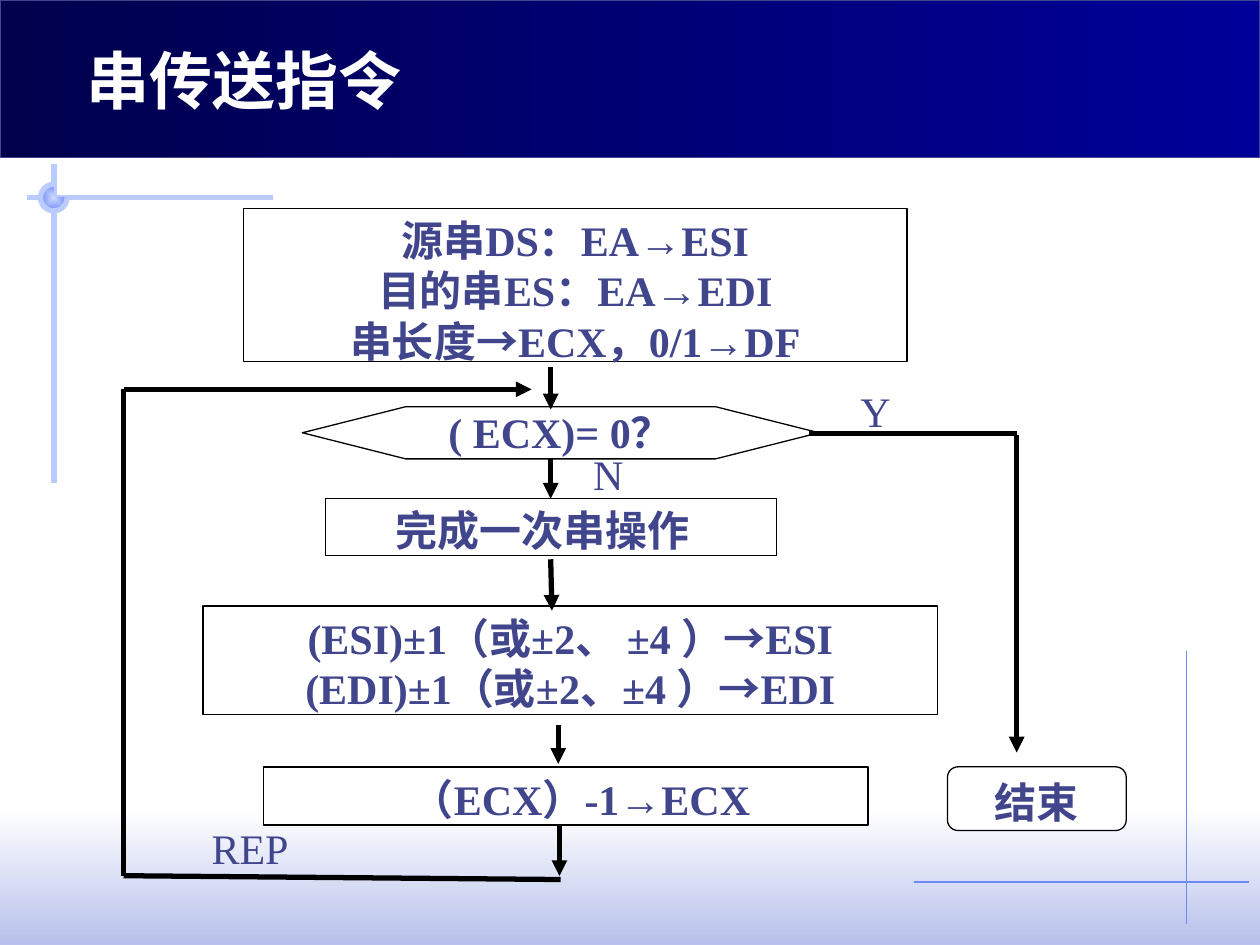
"""Build a slide with the flow chart of the repeated string transfer instruction."""
from lxml import etree
from pptx import Presentation
from pptx.dml.color import RGBColor
from pptx.enum.shapes import MSO_CONNECTOR, MSO_SHAPE
from pptx.enum.text import MSO_ANCHOR, MSO_AUTO_SIZE, PP_ALIGN
from pptx.oxml.ns import qn
from pptx.util import Pt

RECT, ROUNDED = MSO_SHAPE.RECTANGLE, MSO_SHAPE.FLOWCHART_ALTERNATE_PROCESS
HEXAGON = MSO_SHAPE.FLOWCHART_PREPARATION
PIE, ARC = MSO_SHAPE.PIE, MSO_SHAPE.ARC
STRAIGHT = MSO_CONNECTOR.STRAIGHT
LEFT, CENTER = PP_ALIGN.LEFT, PP_ALIGN.CENTER
TOP, NO_FIT = MSO_ANCHOR.TOP, MSO_AUTO_SIZE.NONE

FONT = "Times New Roman"
WHITE = RGBColor(0xFF, 0xFF, 0xFF)
BLACK = RGBColor(0x00, 0x00, 0x00)
INK = RGBColor(0x40, 0x45, 0x8C)
NAVY = RGBColor(0x00, 0x00, 0x4D)
BLUE = RGBColor(0x00, 0x00, 0x99)
HAZE = RGBColor(0xB7, 0xC1, 0xEB)
PALE = RGBColor(0xCF, 0xDB, 0xFD)
RAIL = RGBColor(0xBB, 0xCB, 0xFD)
ACCENT = RGBColor(0x6F, 0x89, 0xF7)


def add_shape(slide, kind, at, line=None, width=0.75):
    """Add a preset shape without shadow or fill, outlined if a colour is given."""
    sp = slide.shapes.add_shape(kind, *map(Pt, at))
    sp.shadow.inherit = False
    sp.fill.background()
    if line is None:
        sp.line.fill.background()
    else:
        sp.line.color.rgb = line
        sp.line.width = Pt(width)
    return sp


def set_gradient(sp, start, end, angle=0):
    """Fill a shape with a linear gradient of two colours."""
    sp.fill.gradient()
    sp.fill.gradient_angle = angle
    for stop, color in zip(sp.fill.gradient_stops, (start, end)):
        stop.color.rgb = color


def make_radial(sp):
    """Turn the linear gradient of a shape into one that starts at its centre."""
    grad = sp.element.spPr.find(qn("a:gradFill"))
    grad.remove(grad.find(qn("a:lin")))
    route = etree.SubElement(grad, qn("a:path"), {"path": "shape"})
    sides = dict.fromkeys("ltrb", "50000")
    etree.SubElement(route, qn("a:fillToRect"), sides)


def set_text(tf, lines, size=24, color=INK, bold=True, align=CENTER):
    """Write one paragraph per line, all in the same format, from the top."""
    tf.vertical_anchor = TOP
    tf.text = "\n".join(lines)
    for p in tf.paragraphs:
        p.alignment = align
        p.font.name = FONT
        p.font.size = Pt(size)
        p.font.bold = bold
        p.font.color.rgb = color


def add_box(slide, kind, at, lines, margin=7.2, align=CENTER):
    """Add a white flow chart box with text."""
    sp = add_shape(slide, kind, at, BLACK)
    sp.fill.solid()
    sp.fill.fore_color.rgb = WHITE
    sp.text_frame.margin_left = Pt(margin)
    set_text(sp.text_frame, lines, align=align)
    return sp


def add_label(slide, at, text, margin_top=3.6):
    """Add a short unwrapped label beside a line."""
    tf = slide.shapes.add_textbox(*map(Pt, at)).text_frame
    tf.word_wrap = False
    tf.margin_top = tf.margin_bottom = Pt(margin_top)
    set_text(tf, [text], bold=False, align=LEFT)


def add_line(slide, points, color=BLACK, width=3, arrow=False):
    """Add a straight line given as x1, y1, x2, y2, with an optional arrowhead."""
    line = slide.shapes.add_connector(STRAIGHT, *map(Pt, points))
    line.line.color.rgb = color
    line.line.width = Pt(width)
    if arrow:
        ln = line.line._get_or_add_ln()
        etree.SubElement(ln, qn("a:tailEnd"), {"type": "triangle"})
    etree.SubElement(line.element.spPr, qn("a:effectLst"))
    return line


def add_backdrop(slide):
    """Add the header band, the bottom haze and the decorative lines."""
    set_gradient(add_shape(slide, RECT, (0, 462, 720, 78)), WHITE, HAZE, 270)
    add_line(slide, (678, 372, 678, 528), ACCENT, 0.75)
    add_line(slide, (522, 504, 714, 504), ACCENT, 0.75)
    add_line(slide, (156, 113, 15.6, 113), RAIL)
    add_line(slide, (30.8, 93.5, 30.8, 276), RAIL)
    knob = (23.2, 105.3, 15.2, 15.2)
    pie = add_shape(slide, PIE, knob)
    set_gradient(pie, PALE, ACCENT)
    make_radial(pie)
    arc = add_shape(slide, ARC, knob, RAIL, 3)
    arc.adjustments[0], arc.adjustments[1] = 0, 162
    set_gradient(add_shape(slide, RECT, (0, 0, 720, 90), INK), NAVY, BLUE)


def add_title(slide, text):
    """Place the title over the header band."""
    title = slide.shapes.title
    slide.shapes.element.append(title.element)
    title.left, title.top, title.width, title.height = map(Pt, (42.5, 20.2, 196.6, 51))
    tf = title.text_frame
    tf.word_wrap = False
    tf.auto_size = NO_FIT
    set_text(tf, [text], 36, WHITE, align=LEFT)


def add_flow(slide):
    """Add the boxes, arrows and labels of the flow chart."""
    add_box(slide, RECT, (139, 119, 379.4, 87.6),
            ["源串DS：EA→ESI", "目的串ES：EA→EDI", "串长度→ECX，0/1→DF"])
    test = add_box(slide, HEXAGON, (172.8, 232.4, 295.2, 29.8), ["( ECX)= 0？"], 0)
    tf = test.text_frame
    tf.margin_top = tf.margin_right = tf.margin_bottom = 0
    operation = add_box(slide, RECT, (185.8, 285, 257.8, 32.4),
                        ["完成一次串操作"], 40, LEFT)
    add_box(slide, RECT, (116, 346.4, 419.8, 61.8),
            ["(ESI)±1（或±2、 ±4 ）→ESI", "(EDI)±1（或±2、±4 ）→EDI"])
    add_box(slide, RECT, (150.4, 438.2, 345.6, 33.2), ["（ECX）-1→ECX"], 24.7)
    add_box(slide, ROUNDED, (541.4, 438.2, 102.2, 36.4), ["结束"])

    to_operation = add_line(slide, (314.7, 262.2, 314.7, 285), arrow=True)
    to_operation.end_connect(operation, 0)
    for points in ((314.7, 209.5, 314.7, 234), (314.7, 319.6, 315.4, 349),
                   (319, 414, 319, 436.5), (319.7, 472.3, 319.7, 500.6),
                   (581, 248.4, 581, 430), (70.6, 222.5, 303.8, 222.5)):
        add_line(slide, points, arrow=True)
    for points in ((462.2, 247.7, 581, 247.7), (70.6, 222.5, 70.6, 500.4),
                   (70.6, 500.4, 320.4, 502.6)):
        add_line(slide, points)

    add_label(slide, (113.8, 466.6, 58.3, 36), "REP")
    add_label(slide, (484.6, 216.7, 31.7, 36), "Y")
    add_label(slide, (331.9, 256.3, 31.7, 28.8), "N", 0)


def main():
    """Build and save the slide."""
    prs = Presentation()
    prs.slide_width, prs.slide_height = Pt(720), Pt(540)
    slide = prs.slides.add_slide(prs.slide_layouts[5])
    add_backdrop(slide)
    add_title(slide, "串传送指令")
    add_flow(slide)
    prs.save("out.pptx")


if __name__ == "__main__":
    main()
